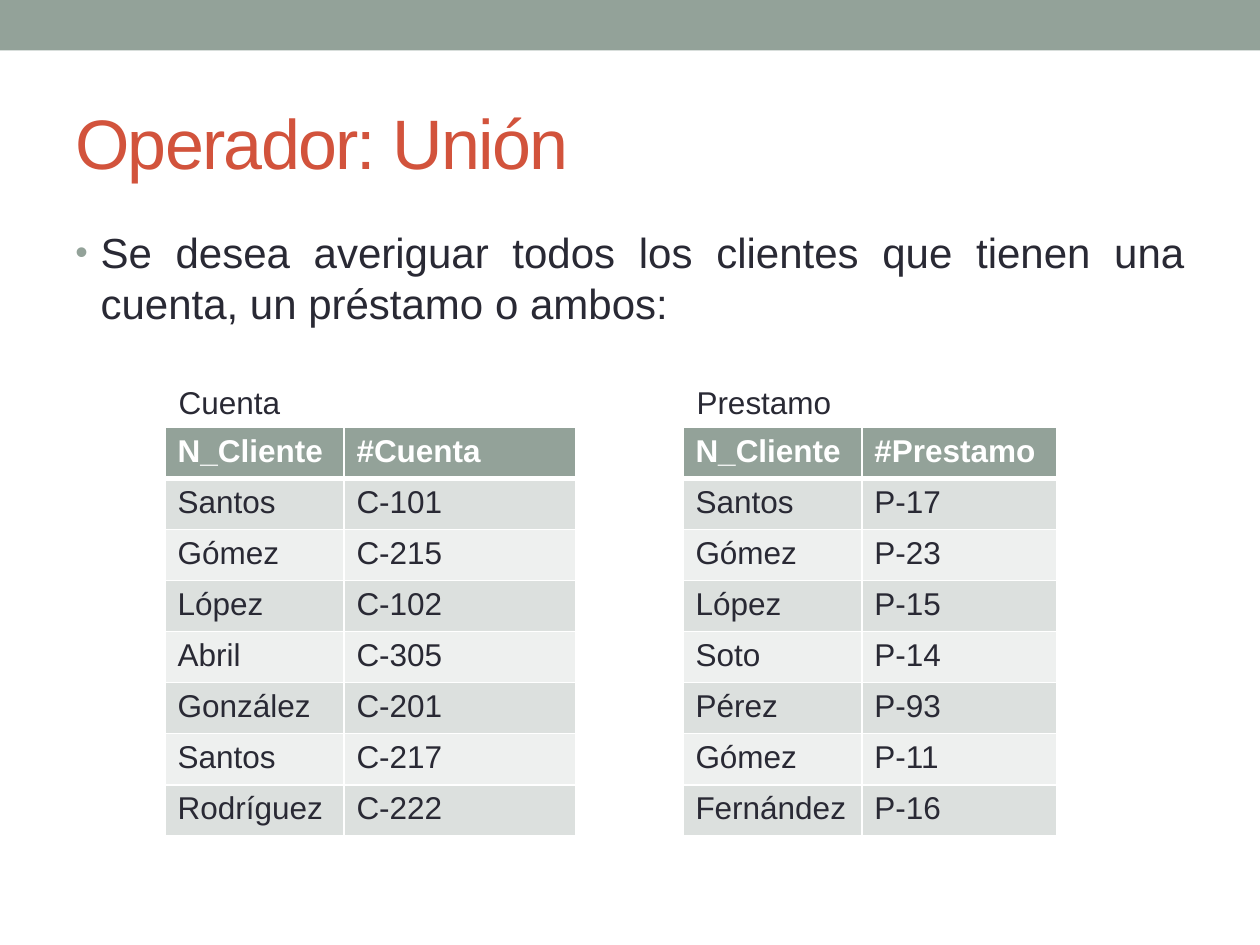
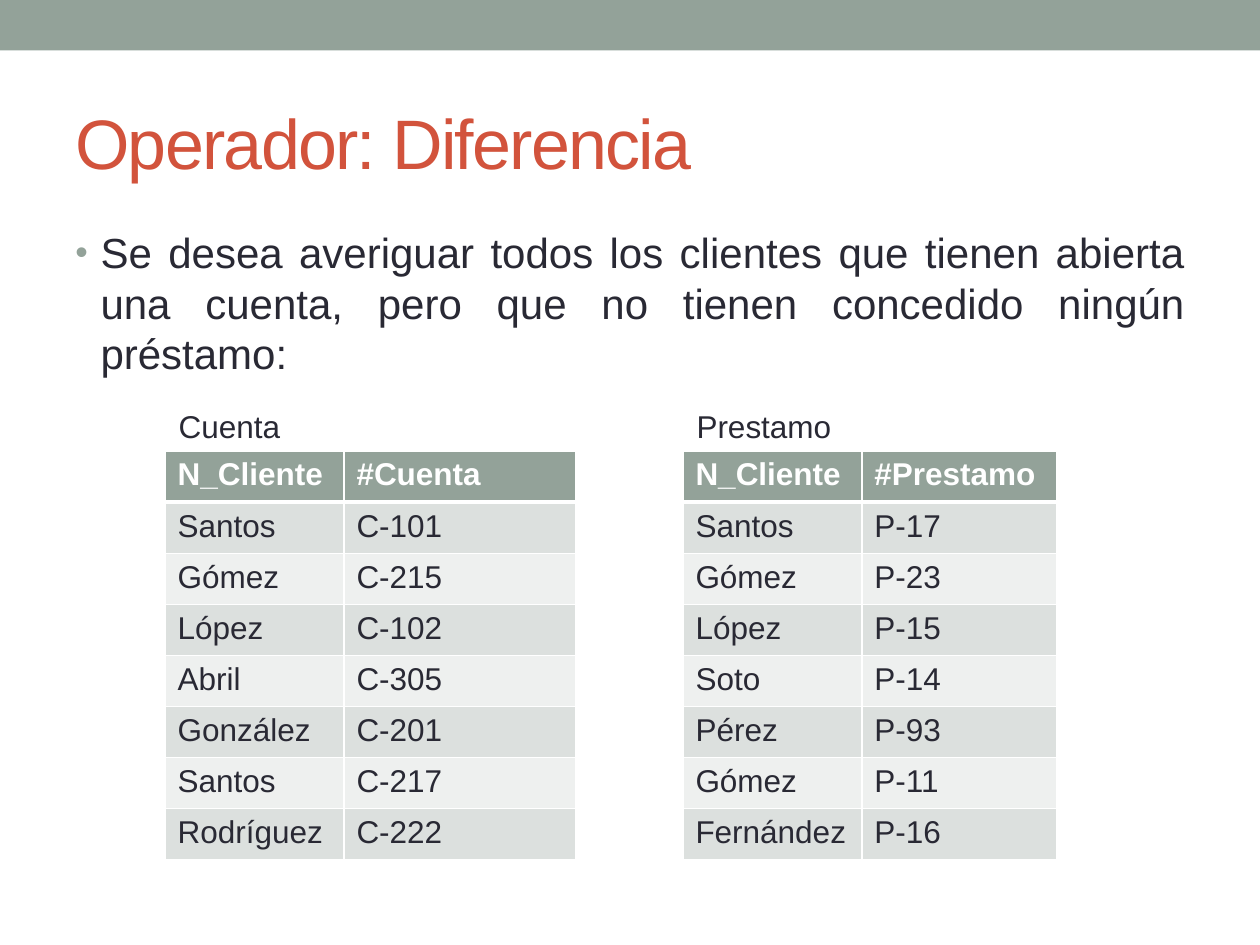
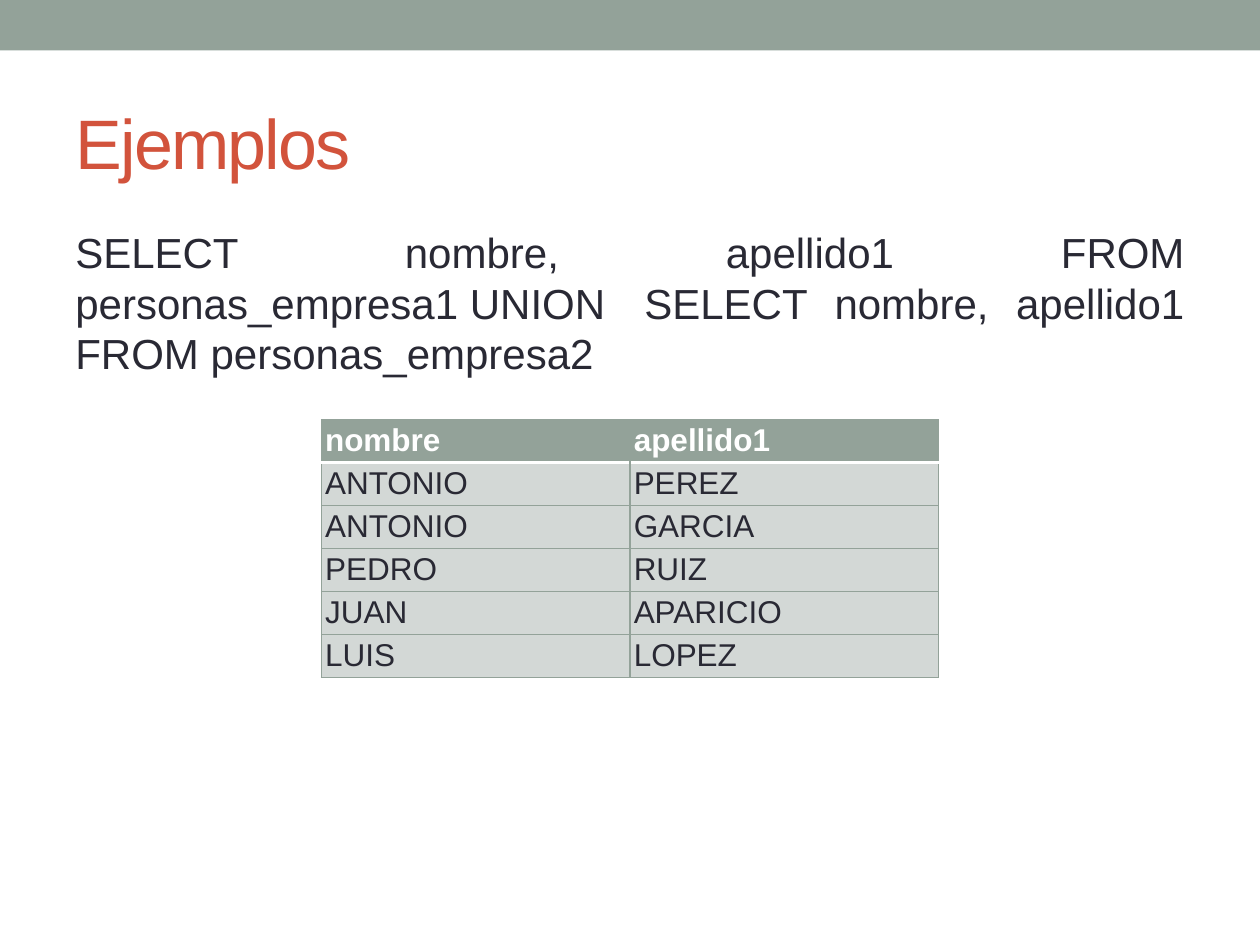
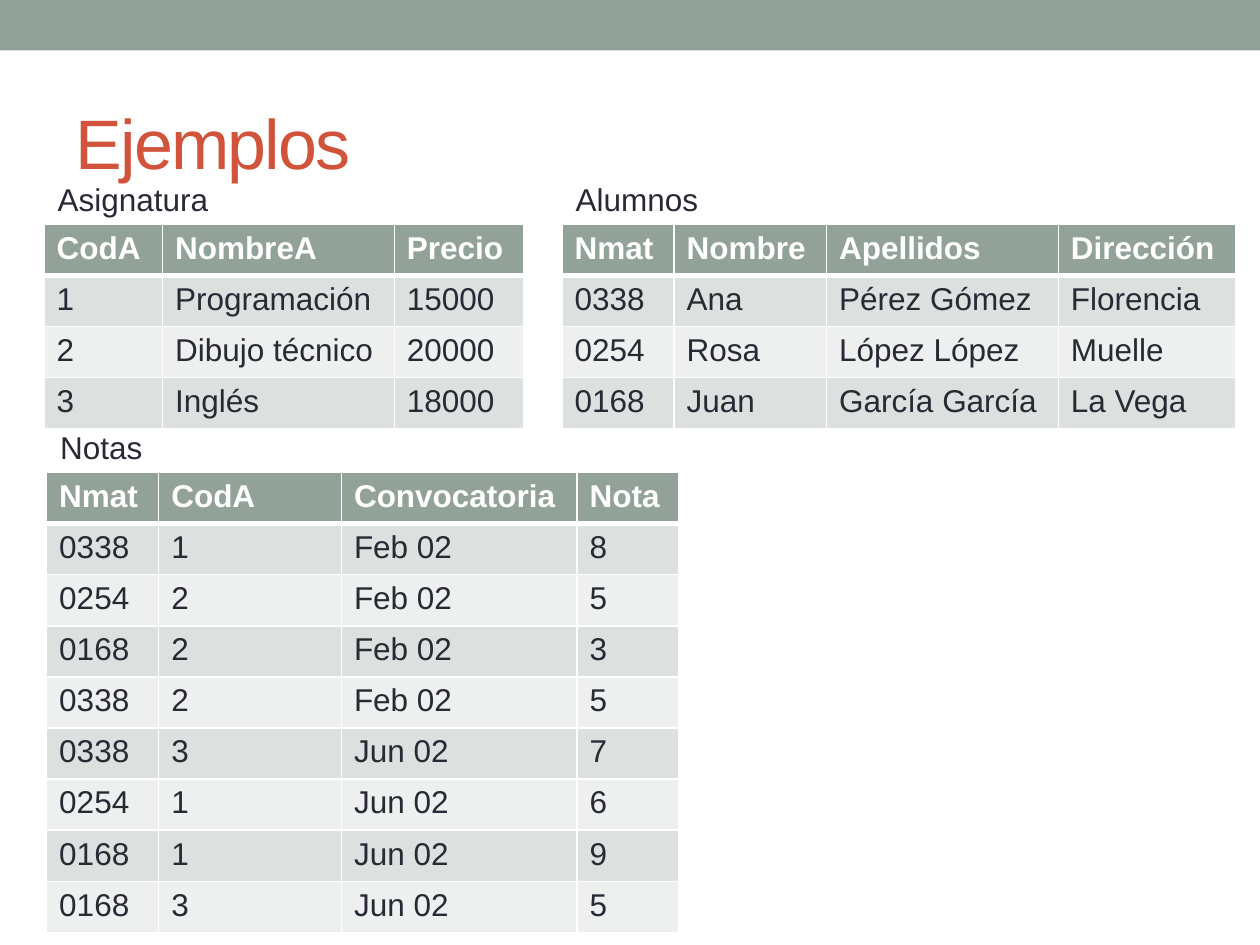
from pptx import Presentation
from pptx.dml.color import RGBColor
from pptx.enum.shapes import MSO_SHAPE
from pptx.enum.text import MSO_ANCHOR, PP_ALIGN
from pptx.oxml.ns import qn
from pptx.util import Inches, Pt
from lxml.etree import SubElement

# Shared look
SAGE = RGBColor(0x93, 0xA2, 0x99)
BRICK = RGBColor(0xD2, 0x53, 0x3C)
INK = RGBColor(0x29, 0x29, 0x34)
WHITE = RGBColor(0xFF, 0xFF, 0xFF)
STRIPE_DARK = RGBColor(0xDC, 0xE0, 0xDE)
STRIPE_LIGHT = RGBColor(0xEE, 0xF0, 0xEF)
RESULT_FILL = RGBColor(0xD3, 0xD8, 0xD6)
FONT = "Arial"
HARD_SPACE = chr(160)

# Grid: 10 columns by 7.5 rows of square cells
COLUMNS = 10
WIDTH, HEIGHT = Inches(10), Inches(7.5)
CELL = WIDTH // COLUMNS
MARGIN = 0.5
CONTENT_WIDTH = COLUMNS - 2 * MARGIN
CAPTION_HEIGHT = 0.4
ROW_HEIGHT = Pt(29.2)
RESULT_ROW_HEIGHT = Pt(24.6)
RESULT_INSET = Inches(0.03)

# Table contents
ACCOUNTS = [
    ("N_Cliente", "#Cuenta"),
    ("Santos", "C-101"),
    ("Gómez", "C-215"),
    ("López", "C-102"),
    ("Abril", "C-305"),
    ("González", "C-201"),
    ("Santos", "C-217"),
    ("Rodríguez", "C-222"),
]
LOANS = [
    ("N_Cliente", "#Prestamo"),
    ("Santos", "P-17"),
    ("Gómez", "P-23"),
    ("López", "P-15"),
    ("Soto", "P-14"),
    ("Pérez", "P-93"),
    ("Gómez", "P-11"),
    ("Fernández", "P-16"),
]
UNION_RESULT = [
    ("nombre", "apellido1"),
    ("ANTONIO", "PEREZ"),
    ("ANTONIO", "GARCIA"),
    ("PEDRO", "RUIZ"),
    ("JUAN", "APARICIO"),
    ("LUIS", "LOPEZ"),
]
SUBJECTS = [
    ("CodA", "NombreA", "Precio"),
    ("1", "Programación", "15000"),
    ("2", "Dibujo técnico", "20000"),
    ("3", "Inglés", "18000"),
]
STUDENTS = [
    ("Nmat", "Nombre", "Apellidos", "Dirección"),
    ("0338", "Ana", "Pérez Gómez", "Florencia"),
    ("0254", "Rosa", "López López", "Muelle"),
    ("0168", "Juan", "García García", "La Vega"),
]
GRADES = [
    ("Nmat", "CodA", "Convocatoria", "Nota"),
    ("0338", "1", "Feb 02", "8"),
    ("0254", "2", "Feb 02", "5"),
    ("0168", "2", "Feb 02", "3"),
    ("0338", "2", "Feb 02", "5"),
    ("0338", "3", "Jun 02", "7"),
    ("0254", "1", "Jun 02", "6"),
    ("0168", "1", "Jun 02", "9"),
    ("0168", "3", "Jun 02", "5"),
]


def cells(*lengths):
    return [int(length * CELL) for length in lengths]


def add_run(paragraph, text, size, color, bold=False):
    run = paragraph.add_run()
    run.text = text
    run.font.name = FONT
    run.font.size = Pt(size)
    run.font.bold = bold
    run.font.color.rgb = color
    return run


def add_text_frame(slide, left, top, width, height):
    frame = slide.shapes.add_textbox(*cells(left, top, width, height)).text_frame
    frame.word_wrap = True
    return frame


def add_titled_slide(prs, title):
    """Blank slide with the top band and a heading."""
    slide = prs.slides.add_slide(prs.slide_layouts[6])
    band = slide.shapes.add_shape(MSO_SHAPE.RECTANGLE, *cells(0, 0, COLUMNS, 0.4))
    band.shadow.inherit = False
    band.fill.solid()
    band.fill.fore_color.rgb = SAGE
    band.line.fill.background()

    heading = add_text_frame(slide, MARGIN, 0.58, CONTENT_WIDTH, 1.08)
    heading.vertical_anchor = MSO_ANCHOR.MIDDLE
    run = add_run(heading.paragraphs[0], title, 40, BRICK)
    run.font._element.set("spc", "-100")
    return slide


def add_bullet(paragraph):
    properties = paragraph._p.get_or_add_pPr()
    indent = Inches(0.2)
    properties.set("marL", str(indent))
    properties.set("indent", str(-indent))
    color = SubElement(properties, qn("a:buClr"))
    SubElement(color, qn("a:srgbClr"), val=str(SAGE))
    SubElement(properties, qn("a:buSzPct"), val="85000")
    SubElement(properties, qn("a:buFont"), typeface=FONT)
    SubElement(properties, qn("a:buChar"), char="•")


def add_statement(slide, text, bulleted=True):
    frame = add_text_frame(slide, MARGIN, 1.75, CONTENT_WIDTH, 5.33)
    paragraph = frame.paragraphs[0]
    paragraph.alignment = PP_ALIGN.JUSTIFY
    if bulleted:
        add_bullet(paragraph)
    add_run(paragraph, text, 24, INK)


def set_borders(cell, borders):
    """Borders map a side (L, R, T, B) to a colour and a width in points."""
    properties = cell._tc.get_or_add_tcPr()
    for side in "LRTB":
        color, width = borders[side]
        line = SubElement(properties, qn(f"a:ln{side}"), w=str(Pt(width)))
        if color is None:
            SubElement(line, qn("a:noFill"))
        else:
            fill = SubElement(line, qn("a:solidFill"))
            SubElement(fill, qn("a:srgbClr"), val=str(color))


def add_grid(slide, rows, left, top, widths, row_height, paint):
    """Table whose cell fill and borders come from paint(row, column)."""
    x, y, width = cells(left, top, sum(widths))
    table = slide.shapes.add_table(
        len(rows), len(widths), x, y, width, row_height * len(rows)).table
    for column, column_width in zip(table.columns, cells(*widths)):
        column.width = column_width
    for r, values in enumerate(rows):
        table.rows[r].height = row_height
        for c, value in enumerate(values):
            cell = table.cell(r, c)
            fill, borders = paint(r, c)
            set_borders(cell, borders)
            cell.fill.solid()
            cell.fill.fore_color.rgb = fill
            header = r == 0
            add_run(cell.text_frame.paragraphs[0], value, 18,
                    WHITE if header else INK, bold=header)
    return table


def paint_striped(row, column):
    borders = dict.fromkeys("LRTB", (WHITE, 1))
    if row == 0:
        borders["B"] = (WHITE, 3)
        return SAGE, borders
    if row == 1:
        borders["T"] = (WHITE, 3)
    return (STRIPE_DARK if row % 2 else STRIPE_LIGHT), borders


def paint_result(row, column):
    borders = dict.fromkeys("LRTB", (SAGE, 0.75))
    if row == 0:
        borders["B"] = (WHITE, 2.08)
        borders["L" if column else "R"] = (None, 0.75)
        return SAGE, borders
    if row == 1:
        borders["T"] = (WHITE, 2.08)
    return RESULT_FILL, borders


def add_relation(slide, name, rows, left, top, widths):
    """Striped table with its name above."""
    add_grid(slide, rows, left, top, widths, ROW_HEIGHT, paint_striped)
    caption = add_text_frame(
        slide, left + 0.01, top - CAPTION_HEIGHT, 2.6, CAPTION_HEIGHT)
    add_run(caption.paragraphs[0], name, 18, INK)


def add_result(slide, rows, top, widths):
    """Centred table of query results with tight cells."""
    left = (COLUMNS - sum(widths)) / 2
    table = add_grid(slide, rows, left, top, widths, RESULT_ROW_HEIGHT, paint_result)
    for cell in table.iter_cells():
        cell.margin_left = cell.margin_right = cell.margin_top = RESULT_INSET
        cell.margin_bottom = Inches(0.01)


def add_operator_slide(prs, operator, question, tables_top):
    slide = add_titled_slide(prs, f"Operador: {operator}")
    add_statement(slide, question)
    add_relation(slide, "Cuenta", ACCOUNTS, 1.31, tables_top, (1.42, 1.84))
    add_relation(slide, "Prestamo", LOANS, 5.42, tables_top, (1.42, 1.55))


def main():
    prs = Presentation()
    prs.slide_width, prs.slide_height = WIDTH, HEIGHT

    # Set operators
    add_operator_slide(
        prs, "Unión",
        "Se desea averiguar todos los clientes que tienen una cuenta, "
        "un préstamo o ambos:", 3.39)
    add_operator_slide(
        prs, "Diferencia",
        "Se desea averiguar todos los clientes que tienen abierta una cuenta, "
        "pero que no tienen concedido ningún préstamo:", 3.58)

    # Union query and its result
    query = add_titled_slide(prs, "Ejemplos")
    add_statement(
        query,
        f"SELECT nombre, apellido1 FROM personas_empresa1{HARD_SPACE}UNION{HARD_SPACE} "
        "SELECT nombre, apellido1 FROM personas_empresa2", bulleted=False)
    add_result(query, UNION_RESULT, 3.33, (2.45, 2.45))

    # School relations
    school = add_titled_slide(prs, "Ejemplos")
    add_relation(school, "Asignatura", SUBJECTS, 0.35, 1.78, (0.94, 1.84, 1.03))
    add_relation(school, "Notas", GRADES, 0.37, 3.75, (0.89, 1.45, 1.87, 0.81))
    add_relation(school, "Alumnos", STUDENTS, 4.46, 1.78, (0.89, 1.21, 1.84, 1.41))

    prs.save("out.pptx")


if __name__ == "__main__":
    main()
